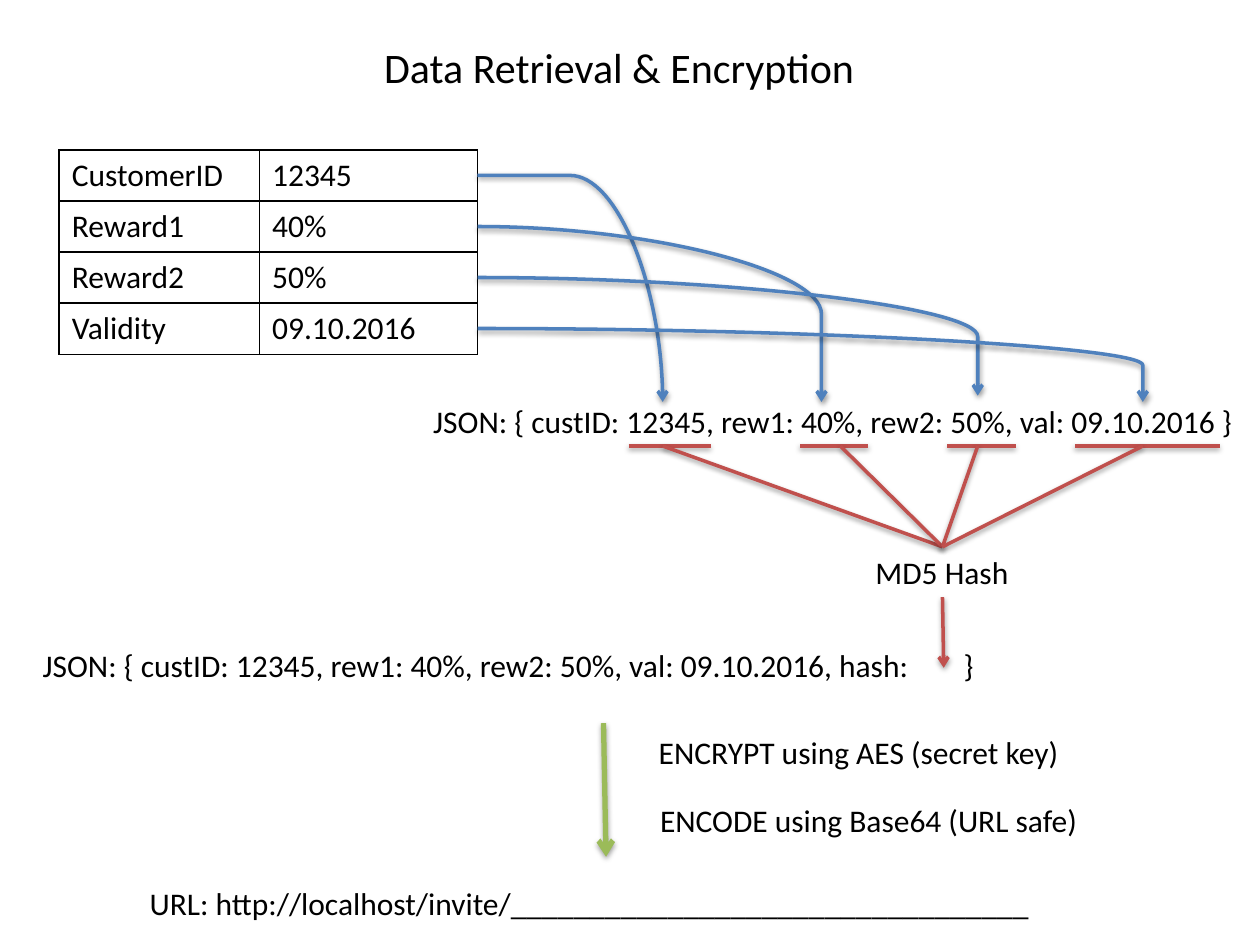
from lxml import etree
from pptx import Presentation
from pptx.dml.color import RGBColor
from pptx.enum.shapes import MSO_CONNECTOR
from pptx.enum.text import MSO_AUTO_SIZE
from pptx.oxml import parse_xml
from pptx.util import Inches, Pt

BLACK = RGBColor(0, 0, 0)
WHITE = RGBColor(255, 255, 255)
BLUE = RGBColor(0x4F, 0x81, 0xBD)
RED = RGBColor(0xC0, 0x50, 0x4D)
GREEN = RGBColor(0x9B, 0xBB, 0x59)
NS = "http://schemas.openxmlformats.org/drawingml/2006/main"
XMLNS = f'xmlns:a="{NS}"'

ROWS = [
    ("CustomerID", "12345"),
    ("Reward1", "40%"),
    ("Reward2", "50%"),
    ("Validity", "09.10.2016"),
]
COLS = (1.59, 1.73)
LEFT, TOP, ROW = 0.47, 1.19, 0.405
PAIRS = "JSON: { custID: 12345, rew1: 40%, rew2: 50%, val: 09.10.2016"
BRACE = 7.31
TEXTS = [
    (PAIRS + " }", 3.34, 3.14, 6.67, 18, True),
    ("MD5 Hash", 6.85, 4.34, 1.27, 18, False),
    (PAIRS + ", hash:\t}", 0.24, 5.08, 8.12, 18, True),
    ("ENCRYPT using AES (secret key)", 5.13, 5.77, 3.43, 18, False),
    ("ENCODE using Base64 (URL safe)", 5.14, 6.31, 3.56, 18, False),
    ("URL: http://localhost/invite/" + "_" * 33, 1.09, 6.97, 7.26, 18, False),
    ("Data Retrieval & Encryption", 2.95, 0.28, 3.99, 24, False),
]
CURVES = [(5.26, 3.19), (6.52, 3.19), (7.76, 3.14), (9.07, 3.19)]
BARS = [(4.99, 5.64), (6.35, 6.89), (7.52, 8.06), (8.53, 9.68)]
STEMS = (5.26, 6.67, 7.76, 9.07)
BASE = 3.54
HASH = (7.48, 4.34)

prs = Presentation()
prs.slide_width, prs.slide_height = Inches(10), Inches(7.5)
slide = prs.slides.add_slide(prs.slide_layouts[6])


def style(font, size):
    for key, value in {"name": "Calibri", "size": Pt(size)}.items():
        setattr(font, key, value)
    font.color.rgb = BLACK


def draw(start, end, color, width=2, arrow=False, kind=MSO_CONNECTOR.STRAIGHT):
    line = slide.shapes.add_connector(kind, *map(Inches, (*start, *end)))
    line.line.color.rgb = color
    line.line.width = Pt(width)
    if arrow:
        etree.SubElement(line.line._get_or_add_ln(), f"{{{NS}}}tailEnd", type="arrow")
    line._element.spPr.append(parse_xml(
        f'<a:effectLst {XMLNS}><a:outerShdw blurRad="{Pt(3.1)}" dist="{Pt(1.6)}" '
        'dir="5400000" rotWithShape="0"><a:srgbClr val="000000">'
        '<a:alpha val="38000"/></a:srgbClr></a:outerShdw></a:effectLst>'))
    return line


def curve(start, end, turned):
    (x, y), (u, v) = start, end
    bend = 100000
    if turned:
        bend = 0
        midx, midy, halfw, halfh = (x + u) / 2, (y + v) / 2, (v - y) / 2, (u - x) / 2
        start = midx + halfw, midy - halfh
        end = midx - halfw, midy + halfh
    line = draw(start, end, BLUE, arrow=True, kind=MSO_CONNECTOR.CURVE)
    props = line._element.spPr
    if turned:
        props.xfrm.set("rot", "16200000")
    guides = props.prstGeom.get_or_add_avLst()
    etree.SubElement(guides, f"{{{NS}}}gd", name="adj1", fmla=f"val {bend}")


def border(cell):
    props = cell._tc.get_or_add_tcPr()
    for spot, side in enumerate("LRTB"):
        props.insert(spot, parse_xml(
            f'<a:ln{side} {XMLNS} w="{Pt(1)}"><a:solidFill>'
            f'<a:srgbClr val="{BLACK}"/></a:solidFill></a:ln{side}>'))


frame = slide.shapes.add_table(
    len(ROWS), len(COLS),
    *map(Inches, (LEFT, TOP, sum(COLS), ROW * len(ROWS))))
table = frame.table
for flag in ("first_row", "horz_banding"):
    setattr(table, flag, False)
for col, width in zip(table.columns, COLS):
    col.width = Inches(width)
for r, row in enumerate(ROWS):
    for c, word in enumerate(row):
        cell = table.cell(r, c)
        cell.text = word
        style(cell.text_frame.paragraphs[0].runs[0].font, 18)
        cell.fill.solid()
        cell.fill.fore_color.rgb = WHITE
        border(cell)

edge = LEFT + sum(COLS)
for i, end in enumerate(CURVES):
    curve((edge, TOP + ROW * (i + 0.5)), end, i == 0)
for x, u in BARS:
    draw((x, BASE), (u, BASE), RED)
for x in STEMS:
    draw((x, BASE), HASH, RED)
draw((7.48, 4.74), (7.49, 5.3), RED, arrow=True)
draw((4.79, 5.74), (4.81, 6.8), GREEN, 3, True)

for text, x, y, width, size, wrap in TEXTS:
    box = slide.shapes.add_textbox(*map(Inches, (x, y, width, size / 45)))
    body = box.text_frame
    for key, value in {"word_wrap": wrap, "text": text,
                       "auto_size": MSO_AUTO_SIZE.SHAPE_TO_FIT_TEXT}.items():
        setattr(body, key, value)
    para = body.paragraphs[0]
    style(para.runs[0].font, size)
    if "\t" in text:
        para._p.get_or_add_pPr().append(parse_xml(
            f'<a:tabLst {XMLNS}><a:tab pos="{Inches(BRACE)}" algn="l"/></a:tabLst>'))

prs.save("out.pptx")
